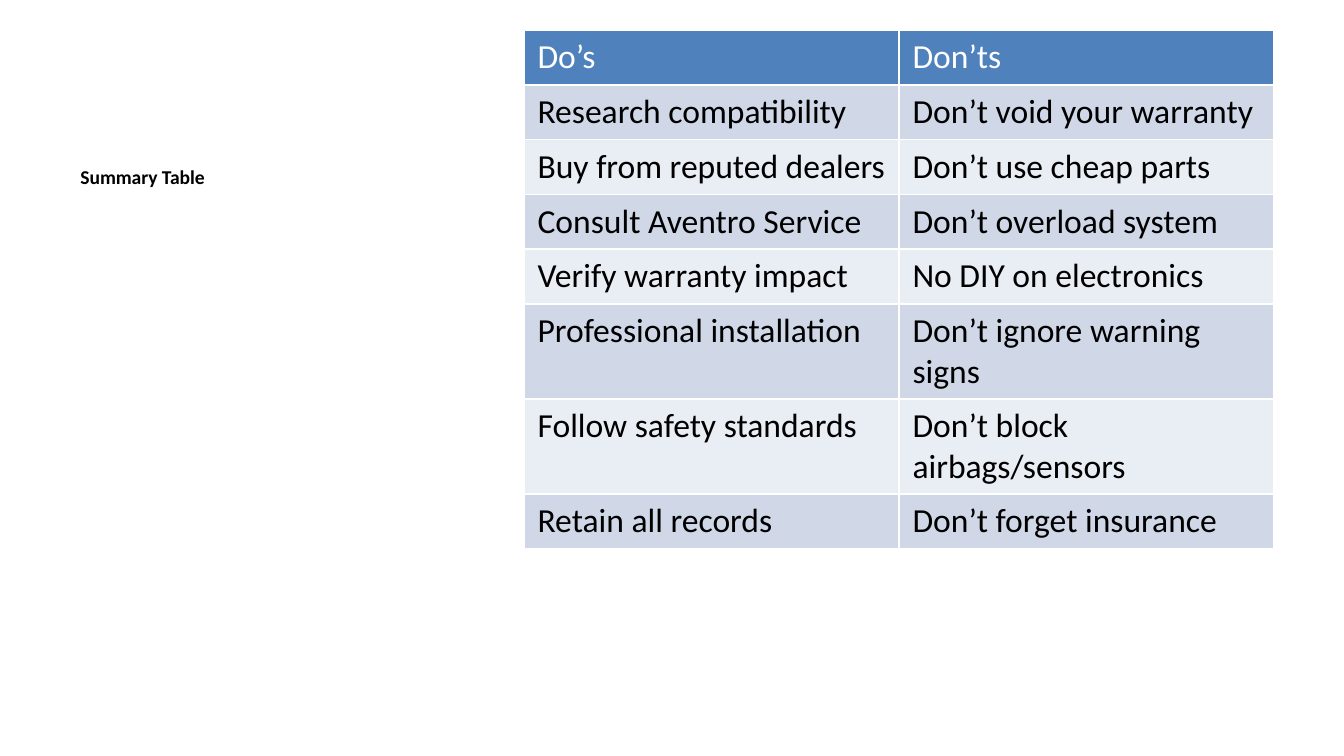
import pptx
import pptx.dml.color
import pptx.oxml
import pptx.oxml.ns
import pptx.util

WIDTH = pptx.util.Inches(10)
HEIGHT = WIDTH * 9 // 16
FONT = "Calibri"
WHITE, BLACK = "FFFFFF", "000000"
HEADER_FILL = "4F81BD"
BAND_FILLS = ["E9EDF4", "D0D8E8"]
ROW_HEIGHT = 7
ADVICE = [
    ("Do’s", "Don’ts"),
    ("Research compatibility", "Don’t void your warranty"),
    ("Buy from reputed dealers", "Don’t use cheap parts"),
    ("Consult Aventro Service", "Don’t overload system"),
    ("Verify warranty impact", "No DIY on electronics"),
    ("Professional installation", "Don’t ignore warning signs"),
    ("Follow safety standards", "Don’t block airbags/sensors"),
    ("Retain all records", "Don’t forget insurance"),
]


def color(value):
    return pptx.dml.color.RGBColor.from_string(value)


def area(left, top, width, height):
    """Turn percentages of the slide into lengths."""
    return (int(WIDTH * left / 100), int(HEIGHT * top / 100),
            int(WIDTH * width / 100), int(HEIGHT * height / 100))


def add_span(para, text, size, ink, bold=False):
    span = para.add_run()
    span.text = text
    span.font.name = FONT
    span.font.size = pptx.util.Pt(size)
    span.font.bold = bold
    span.font.color.rgb = color(ink)


def add_title(page, text):
    box = page.shapes.add_textbox(*area(5, 21, 32.9, 68.4))
    box.text_frame.word_wrap = True
    add_span(box.text_frame.paragraphs[0], text, 10.5, BLACK, bold=True)


def add_borders(cell, ink, points):
    properties = cell._tc.get_or_add_tcPr()
    namespace = pptx.oxml.ns.nsdecls("a")
    for index, side in enumerate(["lnL", "lnR", "lnT", "lnB"]):
        line = pptx.oxml.parse_xml(
            f'<a:{side} {namespace} w="{pptx.util.Pt(points)}"><a:solidFill>'
            f'<a:srgbClr val="{ink}"/></a:solidFill></a:{side}>')
        properties.insert(index, line)


def add_advice_table(page, rows):
    frame = page.shapes.add_table(
        len(rows), len(rows[0]),
        *area(39, 4, 55.8, ROW_HEIGHT * len(rows)))
    for row_index, texts in enumerate(rows):
        is_header = row_index == 0
        for column_index, text in enumerate(texts):
            cell = frame.table.cell(row_index, column_index)
            cell.margin_bottom = pptx.util.Pt(4.1)
            cell.fill.solid()
            cell.fill.fore_color.rgb = color(
                HEADER_FILL if is_header else BAND_FILLS[row_index % 2])
            add_borders(cell, WHITE, 1)
            add_span(cell.text_frame.paragraphs[0], text, 18,
                     WHITE if is_header else BLACK)


def main():
    deck = pptx.Presentation()
    deck.slide_width, deck.slide_height = WIDTH, HEIGHT
    page = deck.slides.add_slide(deck.slide_layouts[6])
    add_title(page, "Summary Table")
    add_advice_table(page, ADVICE)
    deck.save("out.pptx")


if __name__ == "__main__":
    main()
